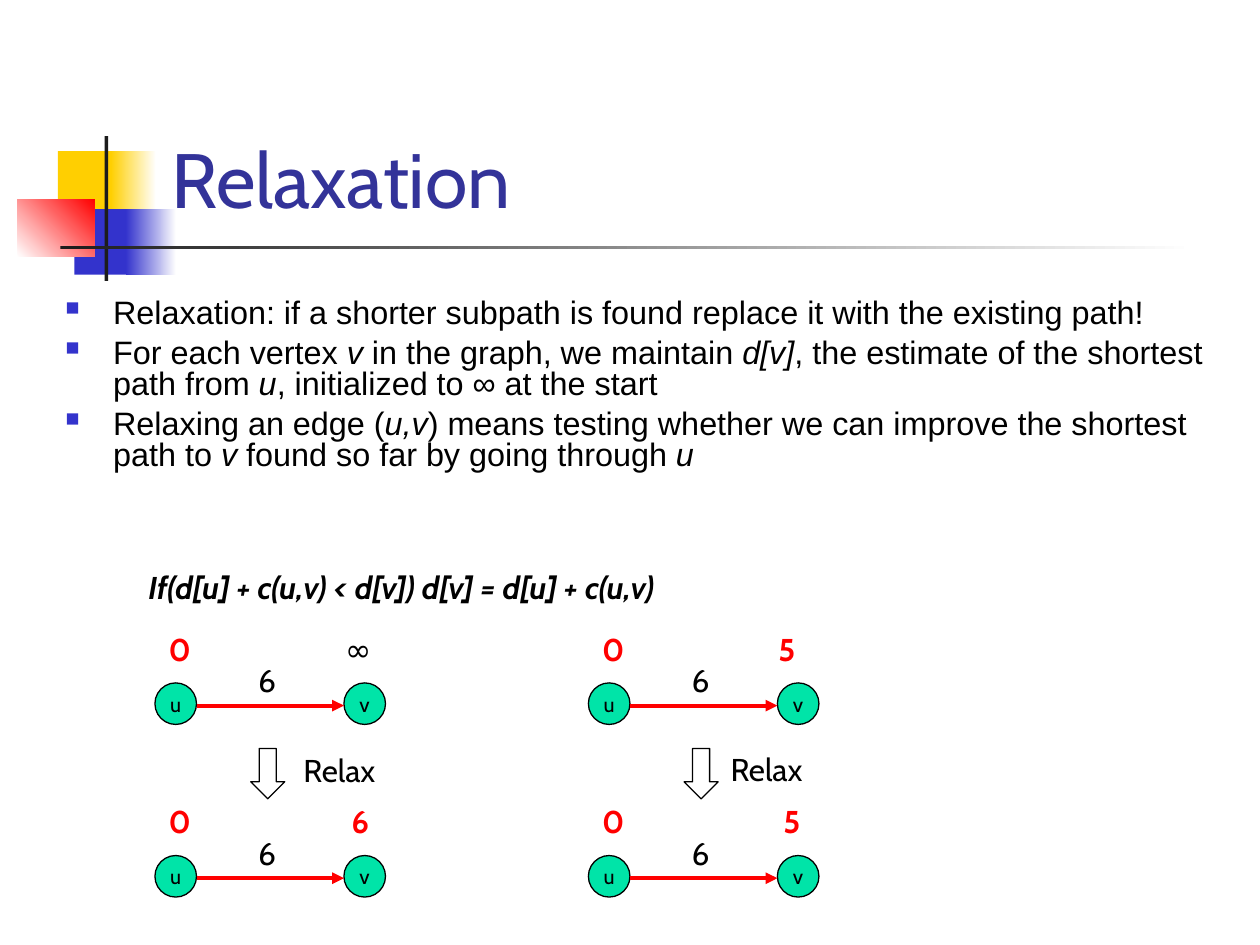
from dataclasses import dataclass

from lxml import etree
from pptx import Presentation
from pptx.dml.color import RGBColor
from pptx.enum.shapes import MSO_CONNECTOR, MSO_SHAPE
from pptx.enum.text import MSO_ANCHOR, PP_ALIGN
from pptx.oxml.ns import qn
from pptx.util import Inches, Pt

RECT, OVAL, DOWN = MSO_SHAPE.RECTANGLE, MSO_SHAPE.OVAL, MSO_SHAPE.DOWN_ARROW
STRAIGHT = MSO_CONNECTOR.STRAIGHT
MIDDLE, BOTTOM = MSO_ANCHOR.MIDDLE, MSO_ANCHOR.BOTTOM
CENTER = PP_ALIGN.CENTER

COLORS = {
    "yellow": "FFCF01", "blue": "3333CC", "red": "FF0000", "dark": "1C1C1C",
    "white": "FFFFFF", "black": "000000", "title": "333399", "node": "00E4A8",
}
COLUMN_STEP, ROW_STEP = 3.44, 1.37
NODE_SIZE = 0.33


@dataclass
class Block:
    x: float
    y: float
    w: float
    h: float
    color: str
    fade_to: str = ""
    angle: float = 0


@dataclass
class Edge:
    column: int
    row: int
    distance: str
    distance_x: float
    color: str = "red"
    bold: bool = True
    italic: bool = False


@dataclass
class Step:
    column: int
    label_x: float
    label_y: float


BLOCKS = [
    Block(0.46, 1.2, 0.48, 0.52, "yellow"),
    Block(0.88, 1.2, 0.36, 0.52, "yellow", "white"),
    Block(0.59, 1.66, 0.46, 0.52, "blue"),
    Block(1, 1.66, 0.4, 0.52, "blue", "white"),
    Block(0.14, 1.58, 0.61, 0.46, "white", "red", 45),
    Block(0.83, 1.08, 0.03, 1.15, "dark"),
    Block(0.48, 1.95, 9, 0.03, "dark", "white"),
]
# Each bullet is a list of runs; every second run is italic
BULLETS = [
    ["Relaxation: if a shorter subpath is found replace it with the existing path!"],
    ["For each vertex ", "v ", "in the graph, we maintain ", "d[v]",
     ", the estimate of the shortest path from ", "u",
     ", initialized to ∞ at the start"],
    ["Relaxing an edge (", "u,v",
     ") means testing whether we can improve the shortest path to ", "v",
     " found so far by going through ", "u"],
]
EDGES = [
    Edge(0, 0, "∞", 2.64, "black", bold=False, italic=True),
    Edge(0, 1, "6", 2.69),
    Edge(1, 0, "5", 6.08),
    Edge(1, 1, "5", 6.12),
]
STEPS = [Step(0, 2.31, 5.91), Step(1, 5.7, 5.9)]


def rgb(name: str) -> RGBColor:
    return RGBColor.from_string(COLORS[name])


def set_font(p, size: float, color: str, name: str = "Cabin",
             bold: bool = False, italic: bool = False) -> None:
    f = p.font
    f.name, f.size, f.bold, f.italic = name, Pt(size), bold, italic
    f.color.rgb = rgb(color)


def add_text(s, text: str, x: float, y: float, w: float, h: float = 0.4,
             size: float = 18, color: str = "black", bold: bool = False,
             italic: bool = False, wrap: bool = False):
    tf = s.shapes.add_textbox(Inches(x), Inches(y), Inches(w), Inches(h)).text_frame
    tf.word_wrap = wrap
    p = tf.paragraphs[0]
    p.text = text
    set_font(p, size, color, bold=bold, italic=italic)
    return tf


def add_shape(s, kind, x: float, y: float, w: float, h: float, fill: str,
              outlined: bool = True):
    sp = s.shapes.add_shape(kind, Inches(x), Inches(y), Inches(w), Inches(h))
    sp.shadow.inherit = False
    sp.fill.solid()
    sp.fill.fore_color.rgb = rgb(fill)
    if outlined:
        sp.line.color.rgb = rgb("black")
        sp.line.width = Pt(0.75)
    else:
        sp.line.fill.background()
    return sp


def add_block(s, b: Block) -> None:
    sp = add_shape(s, RECT, b.x, b.y, b.w, b.h, b.color, outlined=False)
    if b.fade_to:
        sp.fill.gradient()
        sp.fill.gradient_angle = b.angle
        for stop, color in zip(sp.fill.gradient_stops, (b.color, b.fade_to)):
            stop.color.rgb = rgb(color)


def add_bullets(s) -> None:
    tf = s.shapes.add_textbox(Inches(0.42), Inches(2.33), Inches(9.33), Inches(1.59)).text_frame
    tf.word_wrap = True
    for i, runs in enumerate(BULLETS):
        p = tf.paragraphs[0] if i == 0 else tf.add_paragraph()
        p.line_spacing, p.space_before = 0.8, Pt(5)
        set_font(p, 18.5, "black", "Arial")
        for j, text in enumerate(runs):
            r = p.add_run()
            r.text = text
            r.font.italic = j % 2 == 1
        # Square bullet with a hanging indent, placed before the run defaults
        pPr = p._p.get_or_add_pPr()
        pPr.set("marL", str(Inches(0.38)))
        pPr.set("indent", str(-Inches(0.38)))
        clr = etree.Element(qn("a:buClr"))
        etree.SubElement(clr, qn("a:srgbClr"), val=COLORS["blue"])
        size = etree.Element(qn("a:buSzPct"), val="60000")
        char = etree.Element(qn("a:buChar"), char="■")
        defaults = pPr.find(qn("a:defRPr"))
        for el in (clr, size, char):
            defaults.addprevious(el)


def add_node(s, name: str, x: float, y: float) -> None:
    tf = add_shape(s, OVAL, x, y, NODE_SIZE, NODE_SIZE, "node").text_frame
    tf.word_wrap = False
    tf.vertical_anchor = MIDDLE
    p = tf.paragraphs[0]
    p.text, p.alignment = name, CENTER
    set_font(p, 12, "black")


def add_arrow(s, x1: float, x2: float, y: float) -> None:
    c = s.shapes.add_connector(STRAIGHT, Inches(x1), Inches(y), Inches(x2), Inches(y))
    c.line.color.rgb = rgb("red")
    c.line.width = Pt(2.25)
    etree.SubElement(c.line._get_or_add_ln(), qn("a:tailEnd"), type="triangle")
    etree.SubElement(c._element.spPr, qn("a:effectLst"))


def add_edge(s, e: Edge) -> None:
    dx, dy = e.column * COLUMN_STEP, e.row * ROW_STEP
    u, v = 1.23 + dx, 2.73 + dx
    add_node(s, "u", u, 5.42 + dy)
    add_node(s, "v", v, 5.42 + dy)
    add_text(s, "6", 1.95 + dx, 5.2 + dy, 0.34)
    add_text(s, e.distance, e.distance_x, 4.95 + dy, 0.41 if e.italic else 0.34,
             color=e.color, bold=e.bold, italic=e.italic)
    add_arrow(s, u + NODE_SIZE, v, 5.6 + dy)
    add_text(s, "0", 1.24 + dx, 4.95 + dy, 0.34, color="red", bold=True)


def add_step(s, step: Step) -> None:
    add_shape(s, DOWN, 1.99 + step.column * COLUMN_STEP, 5.94, 0.27, 0.4, "white")
    add_text(s, "Relax", step.label_x, step.label_y, 0.83, wrap=True)


def main() -> None:
    prs = Presentation()
    prs.slide_width, prs.slide_height = Inches(10), Inches(7.5)
    s = prs.slides.add_slide(prs.slide_layouts[6])

    # Corner ornament and title
    for block in BLOCKS:
        add_block(s, block)
    title = add_text(s, "Relaxation", 1.26, 0.23, 8.52, 1.6, 44, "title", wrap=True)
    title.vertical_anchor = BOTTOM

    # Explanation and relaxation rule
    add_bullets(s)
    add_text(s, "If(d[u] + c(u,v) < d[v]) d[v] = d[u] + c(u,v)", 1.08, 4.46, 7,
             bold=True, italic=True, wrap=True)

    # Two examples, before and after relaxing
    for edge in EDGES:
        add_edge(s, edge)
    for step in STEPS:
        add_step(s, step)

    prs.save("out.pptx")


if __name__ == "__main__":
    main()
